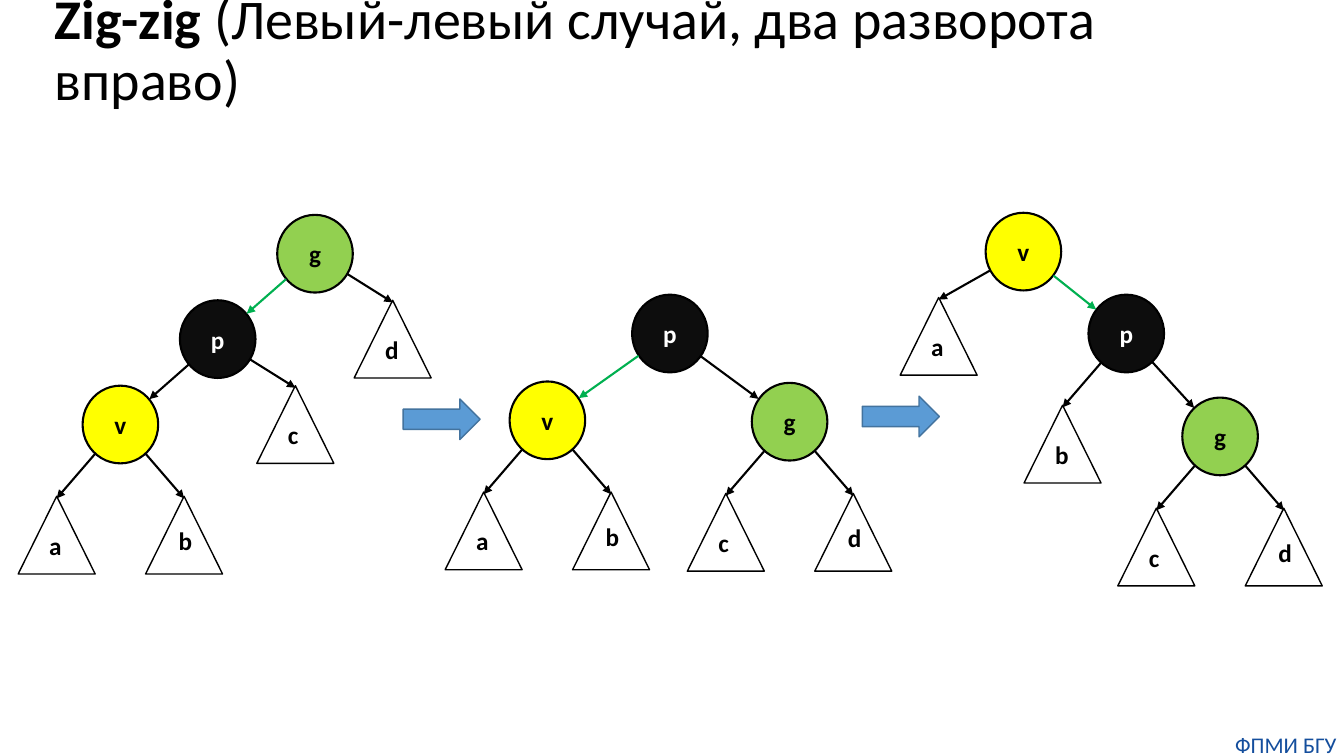
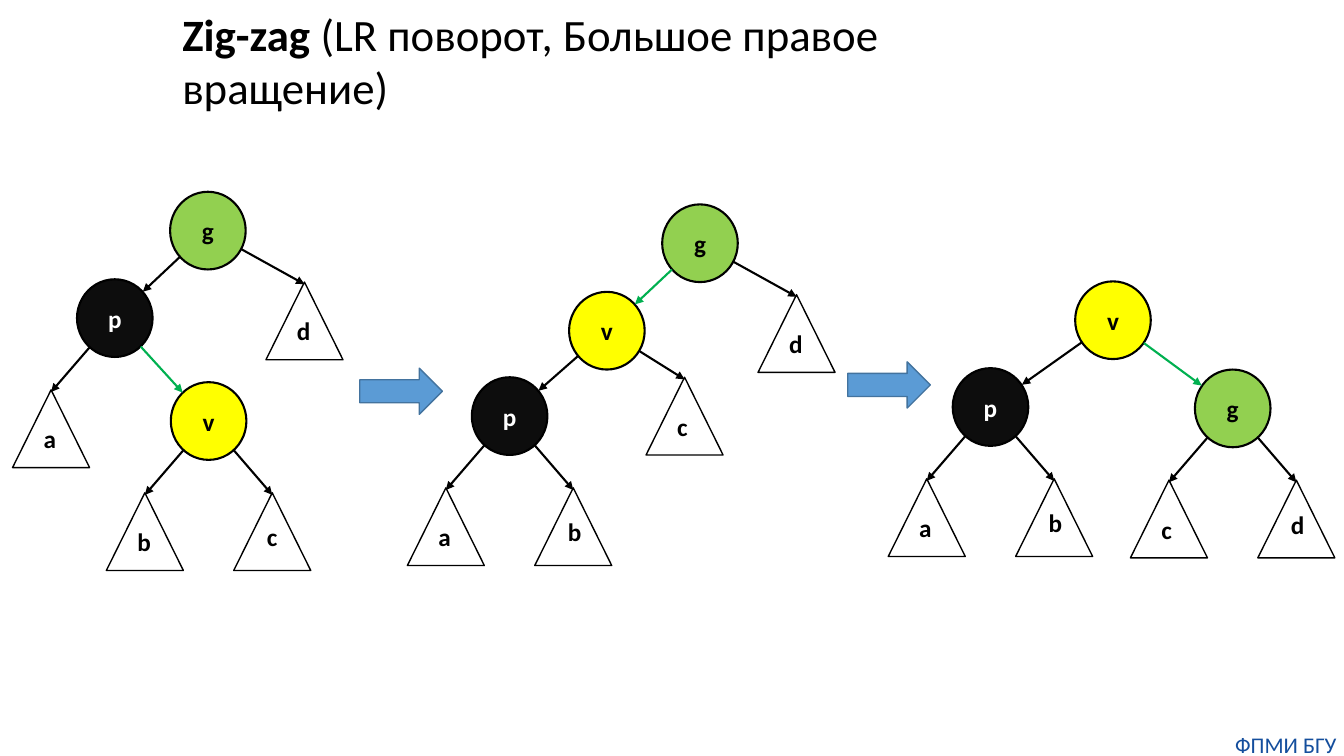
"""Builds two slides that show splay tree rotations step by step."""
from dataclasses import dataclass
from math import hypot
from typing import Optional

from lxml.etree import SubElement
from pptx import Presentation
from pptx.dml.color import RGBColor
from pptx.enum.shapes import MSO_CONNECTOR, MSO_SHAPE
from pptx.enum.text import MSO_ANCHOR, MSO_AUTO_SIZE, PP_ALIGN
from pptx.oxml.ns import qn
from pptx.util import Pt

FONT = "Calibri"
BLACK = RGBColor(0x00, 0x00, 0x00)
WHITE = RGBColor(0xFF, 0xFF, 0xFF)
GREEN = RGBColor(0x00, 0xB0, 0x50)
NAVY = RGBColor(0x14, 0x4E, 0x9D)
ARROW_FILL = RGBColor(0x5B, 0x9B, 0xD5)
ARROW_LINE = RGBColor(0x43, 0x73, 0x9E)
NODE_STYLES = {
    "g": (RGBColor(0x92, 0xD0, 0x50), BLACK),
    "p": (RGBColor(0x0D, 0x0D, 0x0D), WHITE),
    "v": (RGBColor(0xFF, 0xFF, 0x00), BLACK),
}
FOOTER = "ФПМИ БГУ"

CIRCLE_W, TRIANGLE_W, NODE_H = 54, 55, 55.5
RADIUS = 27.5
APEX_DIP = 1.5

LEAF_LEFT, LEAF_RIGHT = (-46, 79), (45, 79)
LEAF_NEAR_RIGHT, LEAF_FAR_RIGHT = (55, 61), (68.5, 64.5)
LEAF_FAR_LEFT = (-61, 60.5)
CHAIN_LEFT, TOP_LEFT = (-69.5, 61), (-66.5, 62.5)
CHAIN_RIGHT, STEEP_RIGHT = (73.5, 58.5), (67, 73.5)
WIDE_LEFT, WIDE_RIGHT = (-87.5, 62), (85.5, 63)


@dataclass
class Node:
    """A tree node placed by its step from the parent; a leaf has no children."""
    name: str
    step: tuple
    left: Optional["Node"] = None
    right: Optional["Node"] = None
    edge: RGBColor = BLACK

    @property
    def is_leaf(self):
        return self.left is None


def pair(name, step, leaves, edge=BLACK):
    """Return a node whose two children are leaves."""
    return Node(name, step, Node(leaves[0], LEAF_LEFT), Node(leaves[1], LEAF_RIGHT), edge)


SLIDES = [
    {
        "title": ("Zig-zig", " (Левый-левый случай, два разворота вправо)"),
        "title_box": (32, -15, 896, 104),
        "title_size": 40,
        "line_spacing": 0.9,
        "trees": [
            Node("g", (198, 153.5),
                 Node("p", CHAIN_LEFT, pair("v", CHAIN_LEFT, "ab"),
                      Node("c", LEAF_NEAR_RIGHT), GREEN),
                 Node("d", LEAF_NEAR_RIGHT)),
            Node("p", (451.5, 210.5),
                 pair("v", WIDE_LEFT, "ab", GREEN),
                 pair("g", WIDE_RIGHT, "cd")),
            Node("v", (704, 152),
                 Node("a", LEAF_FAR_LEFT),
                 Node("p", CHAIN_RIGHT, Node("b", LEAF_LEFT),
                      pair("g", STEEP_RIGHT, "cd"), GREEN)),
        ],
        "arrows": [(288, 285), (616, 283)],
        "arrow_size": (55, 29),
    },
    {
        "title": ("Zig-zag", " (LR поворот, Большое правое вращение)"),
        "title_box": (123, -9, 666, 104),
        "title_size": 32,
        "line_spacing": 1.0,
        "trees": [
            Node("g", (121.5, 137),
                 Node("p", TOP_LEFT, Node("a", LEAF_LEFT),
                      pair("v", STEEP_RIGHT, "bc", GREEN)),
                 Node("d", LEAF_FAR_RIGHT)),
            Node("g", (473, 146),
                 Node("v", TOP_LEFT, pair("p", CHAIN_LEFT, "ab"),
                      Node("c", LEAF_NEAR_RIGHT), GREEN),
                 Node("d", LEAF_FAR_RIGHT)),
            Node("v", (768, 201),
                 pair("p", WIDE_LEFT, "ab"),
                 pair("g", WIDE_RIGHT, "cd", GREEN)),
        ],
        "arrows": [(257, 263), (605.5, 258.5)],
        "arrow_size": (59, 33),
    },
]


def style_run(r, size, color, bold=False):
    r.font.name = FONT
    r.font.size = Pt(size)
    r.font.bold = bold
    r.font.color.rgb = color


def add_preset(slide, kind, x, y, w, h, fill, line, line_width):
    sp = slide.shapes.add_shape(kind, Pt(x), Pt(y), Pt(w), Pt(h))
    sp.shadow.inherit = False
    if fill is None:
        sp.fill.background()
    else:
        sp.fill.solid()
        sp.fill.fore_color.rgb = fill
    sp.line.color.rgb = line
    sp.line.width = Pt(line_width)
    return sp


def add_text(slide, text, x, y, w, h, size, color, bold=False):
    tf = slide.shapes.add_textbox(Pt(x), Pt(y), Pt(w), Pt(h)).text_frame
    tf.word_wrap = True
    tf.text = text
    style_run(tf.paragraphs[0].runs[0], size, color, bold)
    return tf


def add_title(slide, data):
    title = slide.shapes.title
    title.left, title.top, title.width, title.height = map(Pt, data["title_box"])
    tf = title.text_frame
    tf.auto_size = MSO_AUTO_SIZE.NONE
    tf.word_wrap = True
    tf.vertical_anchor = MSO_ANCHOR.MIDDLE
    p = tf.paragraphs[0]
    p.alignment = PP_ALIGN.LEFT
    p.line_spacing = data["line_spacing"]
    for text, bold in zip(data["title"], (True, False)):
        r = p.add_run()
        r.text = text
        style_run(r, data["title_size"], BLACK, bold)


def add_footer(slide):
    tf = add_text(slide, FOOTER, 878, 522, 81, 20, 16, NAVY)
    tf.margin_left = tf.margin_top = tf.margin_right = tf.margin_bottom = 0
    tf.paragraphs[0].alignment = PP_ALIGN.CENTER


def add_edge(slide, parent_xy, child_xy, child):
    """Draw an arrow along the line from the parent's centre to the child."""
    x1, y1 = parent_xy[0] + CIRCLE_W / 2, parent_xy[1] + NODE_H / 2
    if child.is_leaf:
        x2, y2 = child_xy[0] + TRIANGLE_W / 2, child_xy[1] + APEX_DIP
    else:
        x2, y2 = child_xy[0] + CIRCLE_W / 2, child_xy[1] + NODE_H / 2
    length = hypot(x2 - x1, y2 - y1)
    dx, dy = RADIUS * (x2 - x1) / length, RADIUS * (y2 - y1) / length
    if not child.is_leaf:
        x2, y2 = x2 - dx, y2 - dy
    c = slide.shapes.add_connector(
        MSO_CONNECTOR.STRAIGHT, Pt(x1 + dx), Pt(y1 + dy), Pt(x2), Pt(y2))
    c.line.color.rgb = child.edge
    c.line.width = Pt(1.5)
    props = c.element.spPr
    SubElement(props.find(qn("a:ln")), qn("a:tailEnd"), type="triangle")
    SubElement(props, qn("a:effectLst"))


def add_circle(slide, name, x, y):
    fill, color = NODE_STYLES[name]
    sp = add_preset(slide, MSO_SHAPE.OVAL, x, y, CIRCLE_W, NODE_H, fill, BLACK, 1.5)
    tf = sp.text_frame
    tf.text = name
    tf.vertical_anchor = MSO_ANCHOR.MIDDLE
    p = tf.paragraphs[0]
    p.alignment = PP_ALIGN.CENTER
    style_run(p.runs[0], 18, color, True)


def add_leaf(slide, name, x, y, raised):
    add_preset(slide, MSO_SHAPE.ISOSCELES_TRIANGLE, x, y, TRIANGLE_W, NODE_H,
               None, BLACK, 1)
    dx, dy = (16.5, 17) if raised else (15, 20.5)
    add_text(slide, name, x + dx, y + dy, 24, 29, 18, BLACK, True)


def add_tree(slide, node, origin=(0, 0), raised=False):
    """Draw a node with its subtrees and return its position."""
    x, y = origin[0] + node.step[0], origin[1] + node.step[1]
    if node.is_leaf:
        add_leaf(slide, node.name, x, y, raised)
        return x, y
    add_circle(slide, node.name, x, y)
    both_leaves = node.left.is_leaf and node.right.is_leaf
    for child in (node.left, node.right):
        child_xy = add_tree(slide, child, (x, y), both_leaves and child is node.right)
        add_edge(slide, (x, y), child_xy, child)
    return x, y


def main():
    prs = Presentation()
    prs.slide_width, prs.slide_height = Pt(960), Pt(540)
    for data in SLIDES:
        slide = prs.slides.add_slide(prs.slide_layouts[5])
        add_footer(slide)
        add_title(slide, data)
        for tree in data["trees"]:
            add_tree(slide, tree)
        for x, y in data["arrows"]:
            add_preset(slide, MSO_SHAPE.RIGHT_ARROW, x, y, *data["arrow_size"],
                       ARROW_FILL, ARROW_LINE, 1)
    prs.save("out.pptx")


if __name__ == "__main__":
    main()
